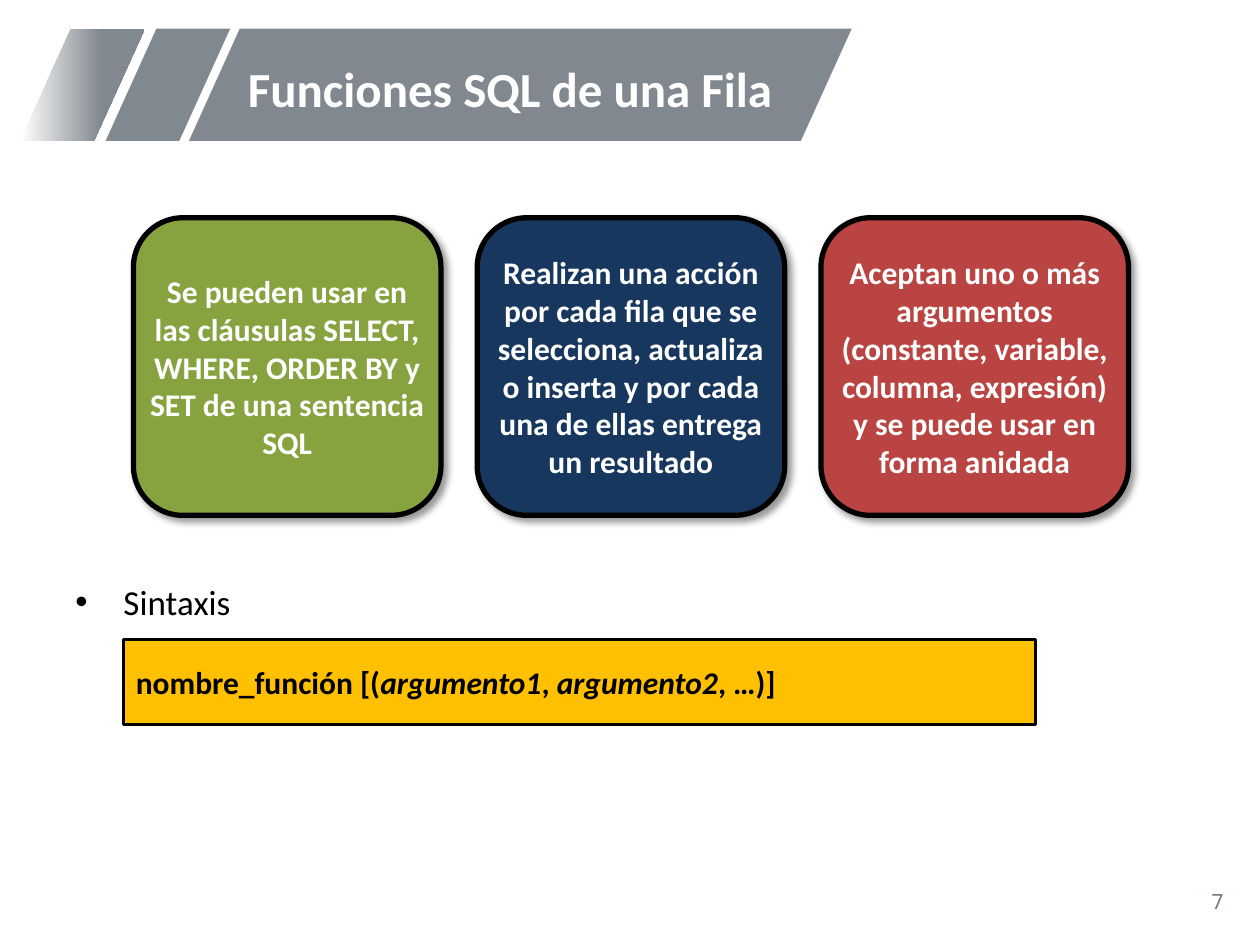
from lxml.etree import SubElement
from pptx import Presentation
from pptx.dml.color import RGBColor
from pptx.enum.shapes import MSO_SHAPE
from pptx.enum.text import MSO_ANCHOR, PP_ALIGN
from pptx.oxml.ns import qn
from pptx.util import Cm, Pt

# Content
TITLE = "Funciones SQL de una Fila"
CARDS = [
    ("Se pueden usar en las cláusulas SELECT, WHERE, ORDER BY y SET "
     "de una sentencia SQL", "green"),
    ("Realizan una acción por cada fila que se selecciona, actualiza o inserta "
     "y por cada una de ellas entrega un resultado", "navy"),
    ("Aceptan uno o más argumentos (constante, variable, columna, expresión) "
     "y se puede usar en forma anidada", "red"),
]
BULLET = "Sintaxis"
SYNTAX = [  # text, italic
    ("nombre_función [(", False),
    ("argumento1", True),
    (", ", False),
    ("argumento2", True),
    (", …)]", False),
]
PAGE = "7"

# Formats
COLORS = {
    "white": "FFFFFF", "black": "000000", "band": "81888F", "stripe": "818990",
    "green": "86A33F", "navy": "17375E", "red": "B94441", "amber": "FFC000",
    "page": "6C7A8A",
}
FONTS = {
    "title": ({"name": "Calibri", "size": Pt(28), "bold": True}, "white"),
    "card": ({"name": "Calibri", "size": Pt(18), "bold": True}, "white"),
    "bullet": ({"name": "Calibri", "size": Pt(20)}, "black"),
    "syntax": ({"name": "Calibri", "size": Pt(18), "bold": True}, "black"),
    "page": ({"name": "Noto Sans Mono", "size": Pt(12)}, "page"),
}
NO_MARGINS = {f"margin_{side}": 0 for side in ("left", "top", "right", "bottom")}

# Layout in cm
BAND_TOP, BAND_HEIGHT, BAND_SLANT = 0.58, 2.26, 0.453
BANDS = [(3.81, 13.36, "band"), (2.13, 2.51, "stripe"), (0.41, 2.51, None)]
CARD_LEFT, CARD_TOP, CARD_WIDTH, CARD_HEIGHT, CARD_GAP = 2.69, 4.39, 6.2, 6, 0.73


def color(key):
    return RGBColor.from_string(COLORS[key])


def add_block(kind, box, fill=None, line_width=None):
    block = slide.shapes.add_shape(kind, *map(Cm, box))
    block.shadow.inherit = False
    if fill:
        block.fill.solid()
        block.fill.fore_color.rgb = color(fill)
    if line_width:
        block.line.color.rgb = color("black")
        block.line.width = Pt(line_width)
    else:
        block.line.fill.background()
    return block


def write(holder, runs, style, align=PP_ALIGN.LEFT, margins=None):
    frame = holder.text_frame
    frame_format = {"word_wrap": True, "vertical_anchor": MSO_ANCHOR.MIDDLE}
    for name, value in {**frame_format, **(margins or {})}.items():
        setattr(frame, name, value)
    paragraph = frame.paragraphs[0]
    paragraph.alignment = align
    font_format, font_color = FONTS[style]
    for text, italic in runs:
        run = paragraph.add_run()
        run.text = text
        for name, value in {**font_format, "italic": italic}.items():
            setattr(run.font, name, value)
        run.font.color.rgb = color(font_color)
    return paragraph


def add_label(box, text, style, align=PP_ALIGN.LEFT):
    label = slide.shapes.add_textbox(*map(Cm, box))
    return write(label, [(text, False)], style, align)


def cast_shadow(block):
    effects = block._element.spPr.find(qn("a:effectLst"))
    shadow = SubElement(effects, qn("a:outerShdw"), blurRad=str(Pt(4)),
                        dist=str(Pt(3)), dir="2700000", algn="tl", rotWithShape="0")
    tint = SubElement(shadow, qn("a:srgbClr"), val=COLORS["black"])
    SubElement(tint, qn("a:alpha"), val="40000")


prs = Presentation()
prs.slide_width, prs.slide_height = Cm(25.4), Cm(19.05)
slide = prs.slides.add_slide(prs.slide_layouts[6])

# Slanted title band, the last stripe fading to white
for left, width, fill in BANDS:
    band = add_block(MSO_SHAPE.PARALLELOGRAM, (left, BAND_TOP, width, BAND_HEIGHT), fill)
    band.adjustments[0] = BAND_SLANT
    if fill is None:
        band.fill.gradient()
        band.fill.gradient_angle = 0
        for stop, (position, key) in zip(band.fill.gradient_stops,
                                         [(0, "white"), (0.65, "band")]):
            stop.position = position
            stop.color.rgb = color(key)

# Page number and title
add_label((19.2, 17.65, 5.72, 1.02), PAGE, "page", PP_ALIGN.RIGHT)
add_label((4.75, 0.71, 12.9, 2.26), TITLE, "title").line_spacing = 0.9

# Cards
for index, (text, fill) in enumerate(CARDS):
    left = CARD_LEFT + index * (CARD_WIDTH + CARD_GAP)
    card = add_block(MSO_SHAPE.ROUNDED_RECTANGLE,
                     (left, CARD_TOP, CARD_WIDTH, CARD_HEIGHT), fill, 3)
    cast_shadow(card)
    write(card, [(text, False)], "card", PP_ALIGN.CENTER, NO_MARGINS)

# Syntax bullet and box
bullet = add_label((1.27, 11.5, 22.86, 1.27), BULLET, "bullet")
bullet_props = bullet._p.get_or_add_pPr()
bullet_props.set("marL", str(Cm(0.97)))
bullet_props.set("indent", str(-Cm(0.97)))
SubElement(bullet_props, qn("a:buFont"), typeface="Arial")
SubElement(bullet_props, qn("a:buChar"), char="•")

syntax_box = add_block(MSO_SHAPE.RECTANGLE, (2.49, 12.9, 18.39, 1.7), "amber", 1.75)
write(syntax_box, SYNTAX, "syntax")

prs.save("out.pptx")
